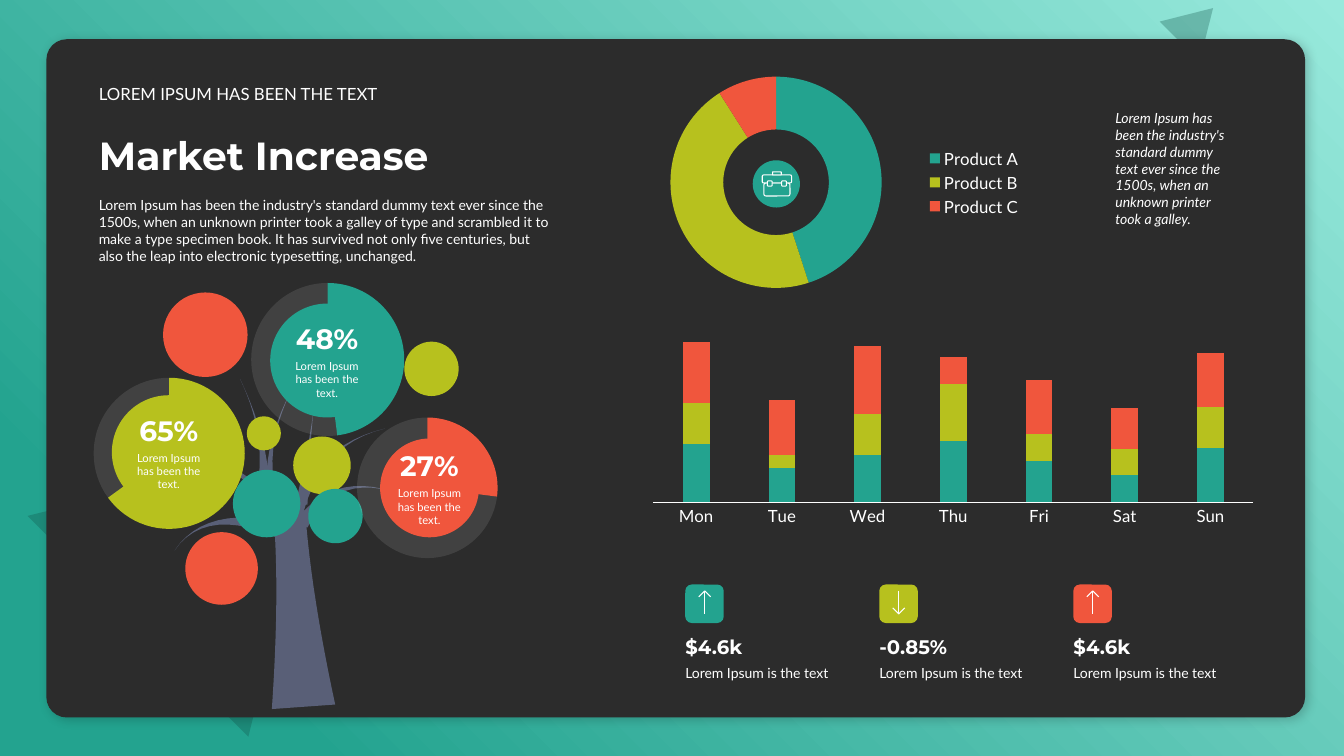
"""Build the Market Increase dashboard slide."""
import math
from lxml import etree
from pptx import Presentation
from pptx import util as u
from pptx.chart import data as cd
from pptx.dml.color import RGBColor
from pptx.enum import chart as ch, shapes, text
from pptx.oxml import parse_xml
from pptx.oxml.ns import nsdecls, qn

Cm, Pt = u.Cm, u.Pt
KIND = shapes.MSO_SHAPE
ANCHOR = text.MSO_ANCHOR
TEAL = RGBColor(0x23, 0xA3, 0x8F)
MINT = RGBColor(0x98, 0xE9, 0xDC)
PINE = RGBColor(0x11, 0x52, 0x48)
OLIVE = RGBColor(0xB7, 0xC1, 0x1E)
RED = RGBColor(0xF0, 0x56, 0x3D)
SLATE = RGBColor(0x59, 0x5F, 0x77)
DARK = RGBColor(0x2C, 0x2C, 0x2C)
WHITE = RGBColor(0xFF, 0xFF, 0xFF)
HEAD, BODY = "Montserrat", "Lato"

TITLE = ("Market Increase", HEAD, 28, True, False)
KICKER = ("LOREM IPSUM HAS BEEN THE TEXT", BODY, 12, False, False)
INTRO = ("Lorem Ipsum has been the industry's standard dummy text ever since the 1500s, "
         "when an unknown printer took a galley of type and scrambled it to make a type "
         "specimen book. It has survived not only five centuries, but also the leap into "
         "electronic typesetting, unchanged.", BODY, 10, False, False)
ASIDE = ("Lorem Ipsum has been the industry's standard dummy text ever since the 1500s, "
         "when an unknown printer took a galley.", BODY, 10, False, True)
GAUGE_NOTE = ("Lorem Ipsum has been the text.", BODY, 8, False, False)
KPI_NOTE = ("Lorem Ipsum is the text", BODY, 10, False, False)

KPIS = [("$4.6k", TEAL, True), ("-0.85%", OLIVE, False), ("$4.6k", RED, True)]
PRODUCTS = [("Product A", 45, TEAL), ("Product B", 46, OLIVE), ("Product C", 9, RED)]
DAYS = ["Mon", "Tue", "Wed", "Thu", "Fri", "Sat", "Sun"]
SALES = [("Series 1", (86, 50, 70, 90, 60, 40, 80), TEAL),
         ("Series 2", (60, 20, 60, 84, 40, 38, 60), OLIVE),
         ("Series 3", (90, 80, 100, 40, 80, 60, 80), RED)]
GAUGES = [(65, OLIVE, (2.08, 9.4, 4.37, 4.01), (2.82, 9.96, 2.87)),
          (48, TEAL, (6.05, 7.01, 4.42, 4.06), (6.81, 7.65, 2.87)),
          (27, RED, (8.74, 10.41, 4.06, 3.73), (9.58, 11.05, 2.49))]
LEAVES = [(4.67, 13.41, 1.83, RED), (5.87, 11.84, 1.7, TEAL), (7.39, 11, 1.45, OLIVE),
          (4.11, 7.37, 2.13, RED), (7.77, 12.32, 1.37, TEAL), (10.19, 8.61, 1.37, OLIVE),
          (6.22, 10.49, 0.86, OLIVE)]
TRIANGLES = [(1.85, 10.21, 7.87, 6.53), (29.44, 0.03, 1.42, 1.19)]
BRIEFCASE = [(19.25, 4.61, 0.66, 0.33), (19.21, 4.41, 0.74, 0.2), (19.47, 4.33, 0.22, 0.08),
             (19.34, 4.56, 0.12, 0.13), (19.7, 4.56, 0.12, 0.13)]
TRUNK = ((7.65, 17.81), (7.45, 15), (7.3, 13), 1.6, 0.8)
BRANCHES = [((7.2, 13.4), (5.2, 12.7), (4.4, 13.87), 0.45),
            ((7.2, 13.2), (6.4, 11.8), (4.2, 11), 0.4),
            ((6.65, 12), (6.65, 10.8), (6.05, 9.55), 0.25),
            ((7, 13), (6.4, 11.4), (7.57, 9.42), 0.35),
            ((7.4, 13.1), (8, 11.2), (9.7, 10.8), 0.4),
            ((7.6, 12.7), (7.8, 11.2), (7.92, 10.2), 0.3),
            ((7.6, 13.2), (8.5, 11.8), (10.2, 12.5), 0.35)]


def box(*lengths):
    return [Cm(v) for v in lengths]


def set_alpha(element, percent):
    for clr in element.iter(qn("a:srgbClr")):
        etree.SubElement(clr, qn("a:alpha")).set("val", str(percent * 1000))


def paint(sp, fill=None, line=None):
    sp.shadow.inherit = False
    if fill is None:
        sp.fill.background()
    else:
        sp.fill.solid()
        sp.fill.fore_color.rgb = fill
    if line is None:
        sp.line.fill.background()
    else:
        sp.line.color.rgb = line
        sp.line.width = Pt(0.75)
    return sp


def add_block(s, kind, place, fill=None, line=None):
    return paint(s.shapes.add_shape(kind, *box(*place)), fill, line)


def write(tf, lines, anchor=ANCHOR.TOP, align=text.PP_ALIGN.LEFT, side=None, before=0):
    tf.word_wrap = True
    tf.vertical_anchor = anchor
    if side is not None:
        tf.margin_left = tf.margin_right = Cm(side)
        tf.margin_top = tf.margin_bottom = Cm(0.13)
    tf.text = "\n".join(line[0] for line in lines)
    for p, (_, name, size, bold, italic) in zip(tf.paragraphs, lines):
        p.alignment = align
        p.space_before = Pt(before)
        f = p.runs[0].font
        f.name, f.size, f.bold, f.italic = name, Pt(size), bold, italic
        f.color.rgb = WHITE


def add_text(s, place, line, anchor=ANCHOR.TOP, side=None):
    tf = s.shapes.add_textbox(*box(*place)).text_frame
    write(tf, [line], anchor, side=side)
    tf.auto_size = text.MSO_AUTO_SIZE.SHAPE_TO_FIT_TEXT


def add_chart(s, kind, place, cats, series, plot, size):
    data = cd.CategoryChartData()
    data.categories = cats
    for name, values in series:
        data.add_series(name, values)
    chart = s.shapes.add_chart(kind, *box(*place), data).chart
    chart.has_title = chart.has_legend = False
    chart.font.name, chart.font.size = BODY, Pt(size)
    chart.font.color.rgb = WHITE
    area = chart._chartSpace.find(".//" + qn("c:plotArea"))
    for old in area.findall(qn("c:layout")):
        area.remove(old)
    sizes = "".join(f'<c:{k} val="{v}"/>' for k, v in zip("xywh", plot))
    area.insert(0, parse_xml(
        f'<c:layout {nsdecls("c")}><c:manualLayout><c:layoutTarget val="inner"/>'
        f'<c:xMode val="edge"/><c:yMode val="edge"/>{sizes}</c:manualLayout></c:layout>'))
    return chart


def add_ring(s, place, cats, values, colors, hole, plot):
    chart = add_chart(s, ch.XL_CHART_TYPE.DOUGHNUT, place, cats, [("Series 1", values)], plot, 10)
    chart._chartSpace.find(".//" + qn("c:holeSize")).set("val", str(hole))
    for i, color in enumerate(colors):
        fmt = chart.plots[0].series[0].points[i].format
        fmt.fill.solid()
        fmt.fill.fore_color.rgb = color
        fmt.line.fill.background()
    return chart


def add_gauge(s, share, color, place, disc):
    chart = add_ring(s, place, ["1", "2"], (share, 100 - share), (color, WHITE), 80,
                     (0.06, 0.03, 0.88, 0.95))
    set_alpha(chart._chartSpace.findall(".//" + qn("c:dPt"))[1], 10)
    sp = add_block(s, KIND.OVAL, (*disc, disc[2]), color)
    write(sp.text_frame, [(f"{share}%", HEAD, 20, True, False), GAUGE_NOTE],
          ANCHOR.MIDDLE, text.PP_ALIGN.CENTER, 0, 3)


def add_backdrop(s, prs):
    sp = paint(s.shapes.add_shape(KIND.RECTANGLE, 0, 0, prs.slide_width, prs.slide_height), TEAL)
    pr = sp._element.spPr
    pr.replace(pr.find(qn("a:solidFill")), parse_xml(
        f'<a:gradFill {nsdecls("a")} rotWithShape="1"><a:gsLst>'
        f'<a:gs pos="0"><a:srgbClr val="{MINT}"/></a:gs>'
        f'<a:gs pos="85000"><a:srgbClr val="{TEAL}"/></a:gs></a:gsLst>'
        '<a:path path="circle"><a:fillToRect l="100000" b="100000"/></a:path></a:gradFill>'))
    for place in TRIANGLES:
        sp = add_block(s, KIND.ISOSCELES_TRIANGLE, place, PINE)
        sp.rotation = 45
        set_alpha(sp._element.spPr, 30)
    card = add_block(s, KIND.ROUNDED_RECTANGLE, (1.17, 0.99, 31.72, 17.09), DARK)
    card.adjustments[0] = 0.03
    card._element.spPr.find(qn("a:effectLst")).append(parse_xml(
        f'<a:outerShdw {nsdecls("a")} blurRad="{Pt(8)}" dist="{Pt(3)}" dir="2700000">'
        '<a:srgbClr val="000000"><a:alpha val="20000"/></a:srgbClr></a:outerShdw>'))


def add_limb(s, start, bend, tip, base, end=0, steps=12):
    left, right = [], []
    for t in (i / steps for i in range(steps + 1)):
        x, y = ((1 - t) ** 2 * a + 2 * t * (1 - t) * b + t * t * c
                for a, b, c in zip(start, bend, tip))
        dx, dy = ((1 - t) * (b - a) + t * (c - b) for a, b, c in zip(start, bend, tip))
        half = (end + (base - end) * (1 - t) ** 2) / 2 / math.hypot(dx, dy)
        left.append(box(x + dy * half, y - dx * half))
        right.append(box(x - dy * half, y + dx * half))
    fb = s.shapes.build_freeform(*left[0])
    fb.add_line_segments(left[1:] + right[::-1], close=True)
    paint(fb.convert_to_shape(), SLATE)


def add_kpi(s, x, value, color, rising):
    add_block(s, KIND.ROUNDED_RECTANGLE, (x, 14.73, 0.97, 0.97), color)
    mid, tip, end = x + 0.49, 14.89, 15.47
    if not rising:
        tip, end = end, tip
    barb = tip + (0.15 if rising else -0.15)
    fb = s.shapes.build_freeform(*box(mid, end))
    fb.add_line_segments([box(mid, tip)], close=False)
    fb.move_to(*box(mid - 0.15, barb))
    fb.add_line_segments([box(mid, tip), box(mid + 0.15, barb)], close=False)
    paint(fb.convert_to_shape(), line=WHITE)
    add_text(s, (x, 16.61, 3.89, 0.69), KPI_NOTE, side=0)
    add_text(s, (x, 15.85, 3.89, 0.86), (value, HEAD, 14, True, False), ANCHOR.BOTTOM, 0)


def add_products(s):
    cats, values, colors = zip(*PRODUCTS)
    chart = add_ring(s, (15.85, 1.57, 10.16, 6.05), cats, values, colors, 50,
                     (0.1, 0.06, 0.53, 0.88))
    chart.has_legend = True
    legend = chart.legend
    legend.position, legend.include_in_layout = ch.XL_LEGEND_POSITION.RIGHT, False
    legend.font.size, legend.font.name = Pt(12), BODY
    legend.font.color.rgb = WHITE
    add_block(s, KIND.OVAL, (18.97, 4.04, 1.19, 1.19), TEAL)
    for place in BRIEFCASE:
        add_block(s, KIND.ROUNDED_RECTANGLE, place, TEAL, WHITE)


def add_sales(s):
    chart = add_chart(s, ch.XL_CHART_TYPE.COLUMN_STACKED, (16.15, 7.75, 15.75, 5.64), DAYS,
                      [row[:2] for row in SALES], (0.02, 0.11, 0.96, 0.76), 12)
    plot, days, amounts = chart.plots[0], chart.category_axis, chart.value_axis
    plot.gap_width, plot.overlap, plot.vary_by_categories = 220, 100, False
    for ser, (_, _, color) in zip(plot.series, SALES):
        ser.format.fill.solid()
        ser.format.fill.fore_color.rgb = color
    amounts.visible = amounts.has_major_gridlines = False
    amounts.minimum_scale, amounts.maximum_scale = 0, 250
    days.major_tick_mark = ch.XL_TICK_MARK.NONE
    days.format.line.color.rgb = WHITE
    days.format.line.width = Pt(0.75)


def main():
    prs = Presentation()
    prs.slide_width, prs.slide_height = box(33.87, 19.05)
    s = prs.slides.add_slide(prs.slide_layouts[5])
    add_backdrop(s, prs)
    title = s.shapes.title
    s.shapes._spTree.append(title._element)
    title.left, title.top, title.width, title.height = box(2.24, 3.18, 12.01, 1.45)
    write(title.text_frame, [TITLE], ANCHOR.BOTTOM)
    title.text_frame.auto_size = text.MSO_AUTO_SIZE.NONE
    add_text(s, (2.24, 1.98, 12.01, 0.76), KICKER, ANCHOR.BOTTOM)
    add_text(s, (2.24, 4.83, 12.01, 1.96), INTRO)
    add_text(s, (27.86, 2.62, 3.4, 3.25), ASIDE, ANCHOR.MIDDLE)
    for limb in [TRUNK, *BRANCHES]:
        add_limb(s, *limb)
    add_gauge(s, *GAUGES[0])
    for x, y, size, color in LEAVES:
        add_block(s, KIND.OVAL, (x, y, size, size), color)
    for gauge in GAUGES[1:]:
        add_gauge(s, *gauge)
    add_products(s)
    add_sales(s)
    for i, kpi in enumerate(KPIS):
        add_kpi(s, 17.27 + 4.89 * i, *kpi)
    prs.save("out.pptx")


if __name__ == "__main__":
    main()
